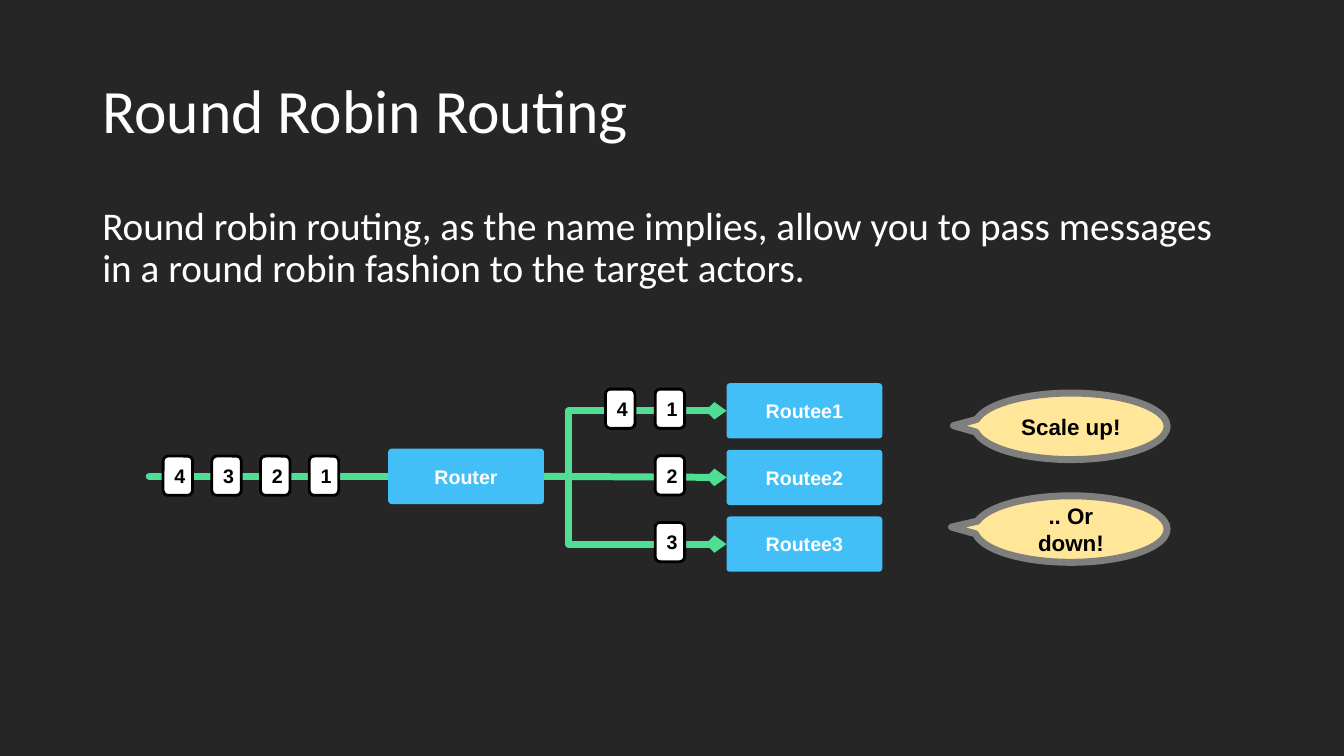
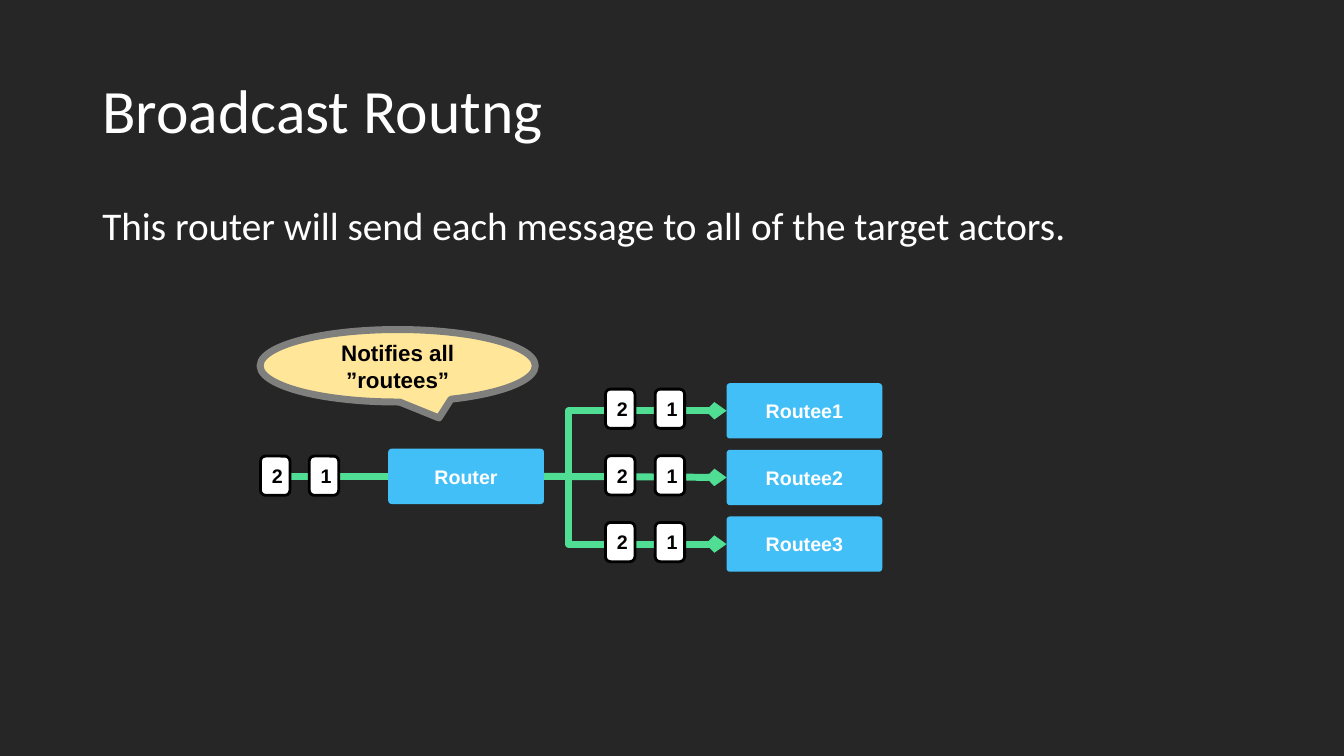
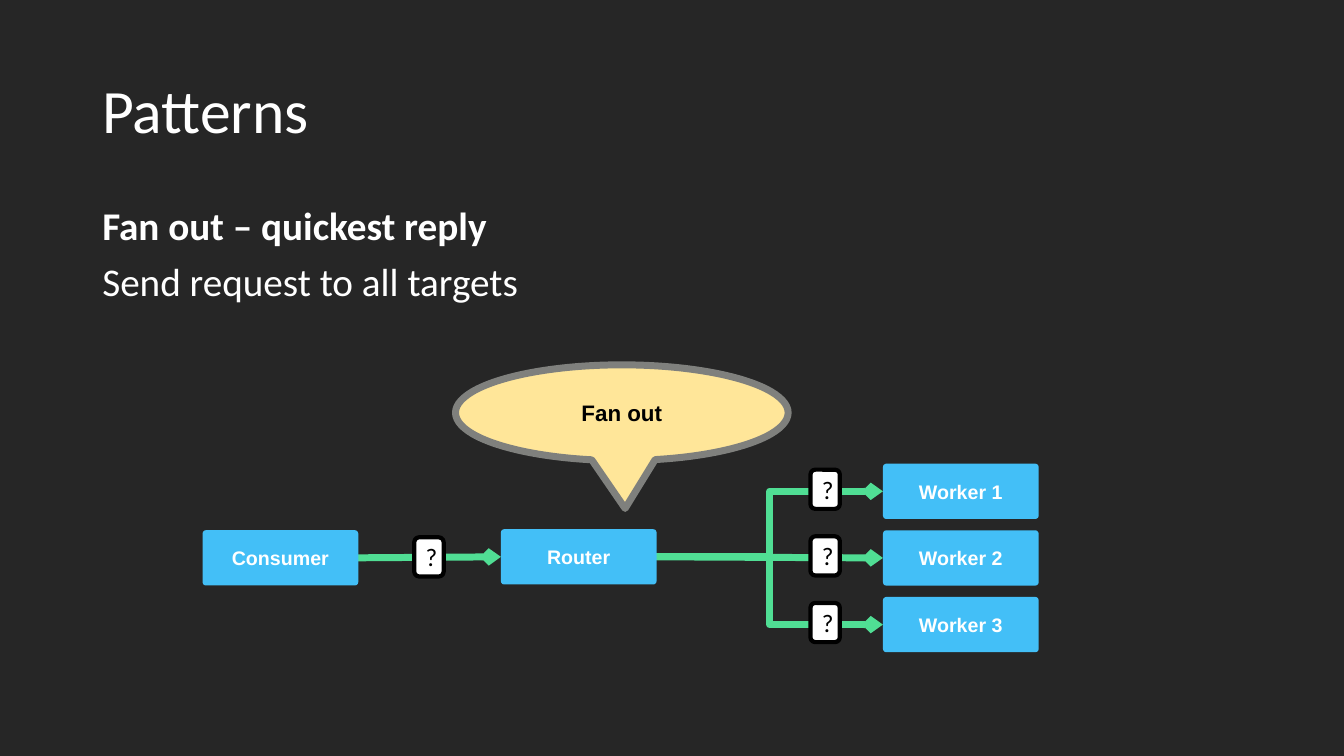
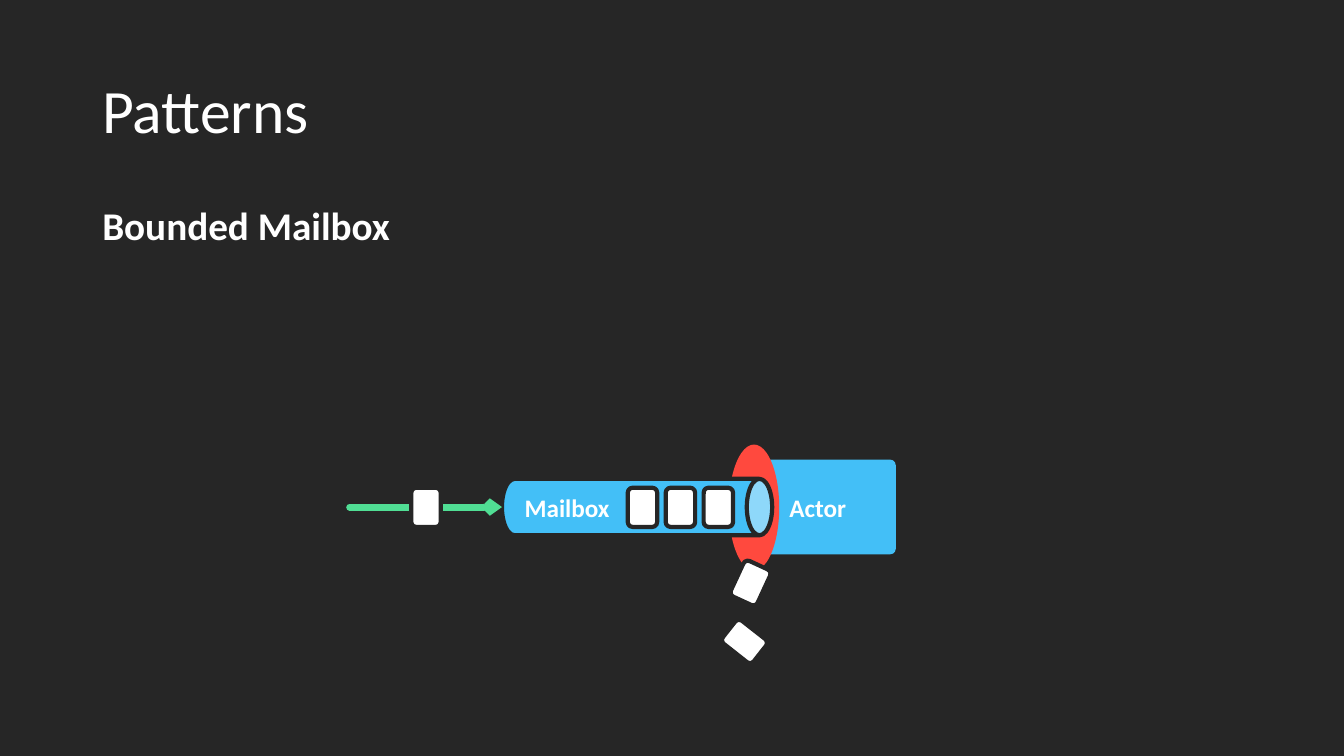
from dataclasses import dataclass

from lxml import etree
from pptx import Presentation
from pptx.dml.color import RGBColor
from pptx.enum.shapes import MSO_CONNECTOR, MSO_SHAPE
from pptx.enum.text import MSO_ANCHOR, PP_ALIGN
from pptx.oxml.ns import qn
from pptx.shapes.autoshape import Shape
from pptx.shapes.connector import Connector
from pptx.slide import Slide
from pptx.util import Pt

ROUNDED = MSO_SHAPE.ROUNDED_RECTANGLE
CALLOUT = MSO_SHAPE.OVAL_CALLOUT
OVAL = MSO_SHAPE.OVAL
CAN = MSO_SHAPE.CAN
STRAIGHT = MSO_CONNECTOR.STRAIGHT
ELBOW = MSO_CONNECTOR.ELBOW
MIDDLE = MSO_ANCHOR.MIDDLE
TOP = MSO_ANCHOR.TOP
CENTER = PP_ALIGN.CENTER
LEFT = PP_ALIGN.LEFT

BACKGROUND = RGBColor(0x26, 0x26, 0x26)
WHITE = RGBColor(0xFF, 0xFF, 0xFF)
BLACK = RGBColor(0x00, 0x00, 0x00)
BLUE = RGBColor(0x43, 0xBF, 0xF7)
GREEN = RGBColor(0x50, 0xDE, 0x94)
YELLOW = RGBColor(0xFF, 0xE6, 0x99)
GRAY = RGBColor(0x7F, 0x80, 0x7D)
RED = RGBColor(0xFF, 0x49, 0x3E)

HEADING_FONT = "Calibri"
DIAGRAM_FONT = "Arial"
LEFT_SIDE, RIGHT_SIDE = 1, 3
BOX_WIDTH, BOX_HEIGHT = 111.2, 39.5
BOX_CORNER = 0.06
ROW_PITCH = 47.6
TOKEN_WIDTH, TOKEN_HEIGHT = 21, 28
TOKEN_DROP = 4.3
LINE_WIDTH = 5


@dataclass(frozen=True)
class Frame:
    left: float
    top: float
    width: float
    height: float


@dataclass(frozen=True)
class TextStyle:
    size: float
    font: str = DIAGRAM_FONT
    color: RGBColor = WHITE
    bold: bool = True


@dataclass(frozen=True)
class Outline:
    color: RGBColor
    width: float


@dataclass(frozen=True)
class TokenStyle:
    text: TextStyle
    outline: Outline


@dataclass(frozen=True)
class FanOut:
    router_left: float
    router_top: float
    target_left: float
    target_top: float
    targets: tuple[str, ...]
    bend: float


@dataclass(frozen=True)
class Callout:
    text: str
    frame: Frame
    tip_x: float
    tip_y: float


TITLE_FRAME = Frame(66, 28.8, 828, 104.4)
BODY_FRAME = Frame(66, 144, 828, 342.7)
TITLE_STYLE = TextStyle(44, HEADING_FONT, bold=False)
BODY_STYLE = TextStyle(28, HEADING_FONT, bold=False)
BODY_BOLD = TextStyle(28, HEADING_FONT)
BOX_STYLE = TextStyle(14)
MAILBOX_STYLE = TextStyle(18, HEADING_FONT)
CALLOUT_STYLE = TextStyle(16, color=BLACK)
NUMBER_TOKEN = TokenStyle(TextStyle(14, color=BLACK), Outline(BLACK, 2))
QUESTION_TOKEN = TokenStyle(
    TextStyle(18, HEADING_FONT, BLACK, False), Outline(BLACK, 3)
)
MAIL_TOKEN = TokenStyle(TextStyle(18, HEADING_FONT, BLACK), Outline(BACKGROUND, 3))

ROUTEES = FanOut(277.3, 320.5, 519, 273.7, ("Routee1", "Routee2", "Routee3"), 0.135)
WORKERS = FanOut(357.8, 378, 630.7, 331.2, ("Worker 1", "Worker 2", "Worker 3"), 0.5)
QUEUE_RIGHT, QUEUE_TOP, QUEUE_PITCH = 220.9, 325.8, 34.8
ROUTEE_TOKEN_RIGHT, ROUTEE_TOKEN_PITCH = 468, 35.5


def style_paragraph(paragraph, style: TextStyle) -> None:
    font = paragraph.font
    font.size = Pt(style.size)
    font.name = style.font
    font.bold = style.bold
    font.color.rgb = style.color


def add_shape(
    slide: Slide,
    kind: int,
    frame: Frame,
    fill: RGBColor,
    outline: Outline | None = None,
    adjustments: tuple[float, ...] = (),
    text: str = "",
    style: TextStyle = BOX_STYLE,
    alignment: int = CENTER,
) -> Shape:
    shape = slide.shapes.add_shape(
        kind, Pt(frame.left), Pt(frame.top), Pt(frame.width), Pt(frame.height)
    )
    shape.shadow.inherit = False
    shape.fill.solid()
    shape.fill.fore_color.rgb = fill
    if outline:
        shape.line.color.rgb = outline.color
        shape.line.width = Pt(outline.width)
    else:
        shape.line.fill.background()
    for index, value in enumerate(adjustments):
        shape.adjustments[index] = value
    if text:
        shape.text_frame.text = text
        shape.text_frame.vertical_anchor = MIDDLE
        paragraph = shape.text_frame.paragraphs[0]
        paragraph.alignment = alignment
        style_paragraph(paragraph, style)
    return shape


def add_box(slide: Slide, text: str, left: float, top: float) -> Shape:
    frame = Frame(left, top, BOX_WIDTH, BOX_HEIGHT)
    return add_shape(slide, ROUNDED, frame, BLUE, None, (BOX_CORNER,), text)


def add_token(
    slide: Slide, text: str, left: float, top: float, style: TokenStyle
) -> Shape:
    frame = Frame(left, top, TOKEN_WIDTH, TOKEN_HEIGHT)
    return add_shape(
        slide, ROUNDED, frame, WHITE, style.outline, text=text, style=style.text
    )


def add_callout(slide: Slide, callout: Callout) -> None:
    add_shape(
        slide,
        CALLOUT,
        callout.frame,
        YELLOW,
        Outline(GRAY, LINE_WIDTH),
        (callout.tip_x, callout.tip_y),
        callout.text,
        CALLOUT_STYLE,
    )


def add_line(
    slide: Slide,
    start: tuple[float, float],
    end: tuple[float, float],
    arrow: bool = True,
    bend: float | None = None,
) -> Connector:
    kind = STRAIGHT if bend is None else ELBOW
    line = slide.shapes.add_connector(kind, *(Pt(value) for value in start + end))
    line.line.color.rgb = GREEN
    line.line.width = Pt(LINE_WIDTH)
    properties = line.element.spPr
    outline = properties.find(qn("a:ln"))
    outline.set("cap", "rnd")
    etree.SubElement(outline, qn("a:round"))
    if arrow:
        etree.SubElement(outline, qn("a:tailEnd"), type="arrow", w="sm", len="sm")
    etree.SubElement(properties, qn("a:effectLst"))
    if bend is not None:
        values = properties.find(qn("a:prstGeom")).find(qn("a:avLst"))
        formula = f"val {round(bend * 100000)}"
        etree.SubElement(values, qn("a:gd"), name="adj1", fmla=formula)
    return line


def send_to_back(slide: Slide, line: Connector) -> None:
    slide.shapes.element.insert(2, line.element)


def join_boxes(slide: Slide, source: Shape, target: Shape) -> None:
    line = add_line(slide, (0, 0), (0, 0))
    line.begin_connect(source, RIGHT_SIDE)
    line.end_connect(target, LEFT_SIDE)
    send_to_back(slide, line)


def add_fan_out(slide: Slide, fan: FanOut) -> Shape:
    router = add_box(slide, "Router", fan.router_left, fan.router_top)
    start = (fan.router_left + BOX_WIDTH, fan.router_top + BOX_HEIGHT / 2)
    middle = len(fan.targets) // 2
    for row, name in enumerate(fan.targets):
        top = fan.target_top + row * ROW_PITCH
        target = add_box(slide, name, fan.target_left, top)
        if row == middle:
            join_boxes(slide, router, target)
        else:
            end = (fan.target_left, top + BOX_HEIGHT / 2)
            send_to_back(slide, add_line(slide, start, end, bend=fan.bend))
    return router


def add_token_row(
    slide: Slide, labels: str, right: float, top: float, pitch: float
) -> None:
    for index, label in enumerate(reversed(labels)):
        add_token(slide, label, right - index * pitch, top, NUMBER_TOKEN)


def add_routing(
    slide: Slide, queue: str, queue_start: float, deliveries: tuple[str, ...]
) -> None:
    router = add_fan_out(slide, ROUTEES)
    start = (queue_start, ROUTEES.router_top + BOX_HEIGHT / 2)
    line = add_line(slide, start, start, arrow=False)
    line.end_connect(router, LEFT_SIDE)
    send_to_back(slide, line)
    add_token_row(slide, queue, QUEUE_RIGHT, QUEUE_TOP, QUEUE_PITCH)
    for row, labels in enumerate(deliveries):
        top = ROUTEES.target_top + TOKEN_DROP + row * ROW_PITCH
        add_token_row(slide, labels, ROUTEE_TOKEN_RIGHT, top, ROUTEE_TOKEN_PITCH)


def add_text(
    slide: Slide, frame: Frame, anchor: int, *lines: tuple[str, TextStyle]
) -> None:
    box = slide.shapes.add_textbox(
        Pt(frame.left), Pt(frame.top), Pt(frame.width), Pt(frame.height)
    )
    text_frame = box.text_frame
    text_frame.word_wrap = True
    text_frame.vertical_anchor = anchor
    text_frame.text = "\n".join(text for text, _ in lines)
    for index, (paragraph, (_, style)) in enumerate(zip(text_frame.paragraphs, lines)):
        paragraph.line_spacing = 0.9
        if index:
            paragraph.space_before = Pt(10)
        style_paragraph(paragraph, style)


def add_slide(presentation, title: str, *body: tuple[str, TextStyle]) -> Slide:
    slide = presentation.slides.add_slide(presentation.slide_layouts[6])
    add_text(slide, TITLE_FRAME, MIDDLE, (title, TITLE_STYLE))
    add_text(slide, BODY_FRAME, TOP, *body)
    return slide


def build_round_robin(presentation) -> None:
    text = (
        "Round robin routing, as the name implies, allow you to pass messages "
        "in a round robin fashion to the target actors."
    )
    slide = add_slide(presentation, "Round Robin Routing", (text, BODY_STYLE))
    add_routing(slide, "4321", 106.6, ("41", "2", "3"))
    add_callout(
        slide, Callout("Scale up!", Frame(696.2, 280.8, 137.5, 47.5), -0.61, -0.01)
    )
    add_callout(
        slide, Callout(".. Or down!", Frame(696.2, 354.2, 137.5, 47.5), -0.62, -0.03)
    )


def build_broadcast(presentation) -> None:
    text = "This router will send each message to all of the target actors."
    slide = add_slide(presentation, "Broadcast Routng", (text, BODY_STYLE))
    add_routing(slide, "21", 198, ("21",) * len(ROUTEES.targets))
    add_callout(
        slide,
        Callout("Notifies all ”routees”", Frame(185.8, 235.4, 196.6, 51.8), 0.15, 0.72),
    )


def build_quickest_reply(presentation) -> None:
    slide = add_slide(
        presentation,
        "Patterns",
        ("Fan out – quickest reply", BODY_BOLD),
        ("Send request to all targets", BODY_STYLE),
    )
    router = add_fan_out(slide, WORKERS)
    consumer = add_box(slide, "Consumer", 144.7, 378.7)
    join_boxes(slide, consumer, router)
    add_token(slide, "?", 295.9, 383.8, QUESTION_TOKEN)
    for row in range(len(WORKERS.targets)):
        top = WORKERS.target_top + TOKEN_DROP + row * ROW_PITCH
        add_token(slide, "?", 578.9, top, QUESTION_TOKEN)
    add_callout(slide, Callout("Fan out", Frame(325.4, 260.6, 237.6, 68.4), 0.01, 1))


def build_bounded_mailbox(presentation) -> None:
    slide = add_slide(presentation, "Patterns", ("Bounded Mailbox", BODY_BOLD))
    add_shape(
        slide,
        ROUNDED,
        Frame(528.5, 328.3, 111.4, 67.7),
        BLUE,
        adjustments=(BOX_CORNER,),
        text="Actor",
        style=MAILBOX_STYLE,
    )
    add_shape(slide, OVAL, Frame(520.6, 317.5, 36, 90), RED)
    mailbox = add_shape(
        slide,
        CAN,
        Frame(434.9, 265.7, 40.3, 193),
        BLUE,
        MAIL_TOKEN.outline,
        (0.45,),
        "Mailbox",
        MAILBOX_STYLE,
        LEFT,
    )
    mailbox.rotation = 90
    mailbox.text_frame._txBody.find(qn("a:bodyPr")).set("vert", "vert270")
    add_line(slide, (249.8, 362.2), (358.6, 362.2))
    queued = [(448.4 + index * 27.1, 348.4, 0) for index in range(3)]
    rejected = [(525.6, 402.5, 24.8), (521.3, 444.2, 308.2)]
    for left, top, rotation in [(293.8, 348.4, 0), *queued, *rejected]:
        add_token(slide, "", left, top, MAIL_TOKEN).rotation = rotation


def main() -> None:
    presentation = Presentation()
    presentation.slide_width = Pt(960)
    presentation.slide_height = Pt(540)
    background = presentation.slide_master.background.fill
    background.solid()
    background.fore_color.rgb = BACKGROUND
    build_round_robin(presentation)
    build_broadcast(presentation)
    build_quickest_reply(presentation)
    build_bounded_mailbox(presentation)
    presentation.save("out.pptx")


if __name__ == "__main__":
    main()
